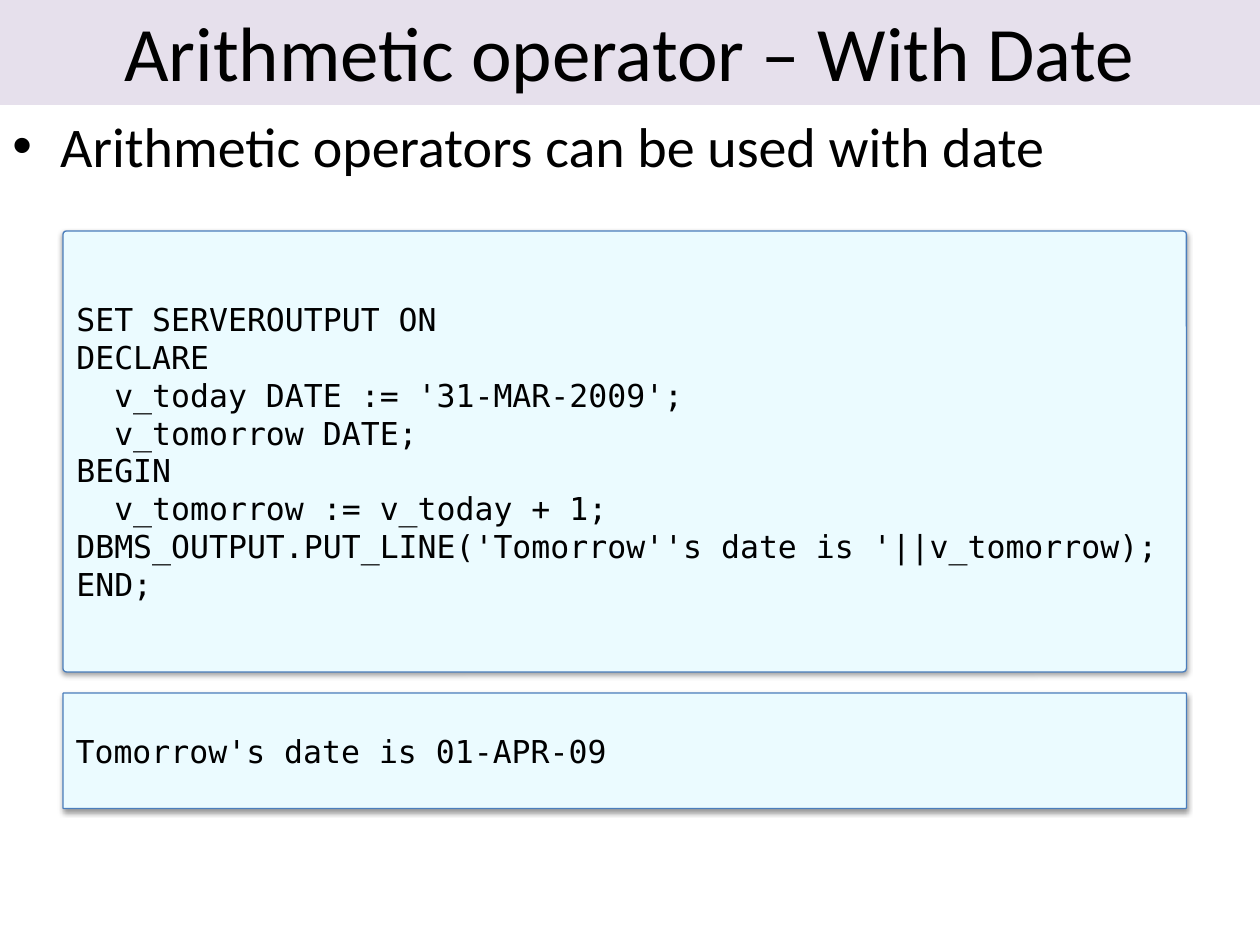
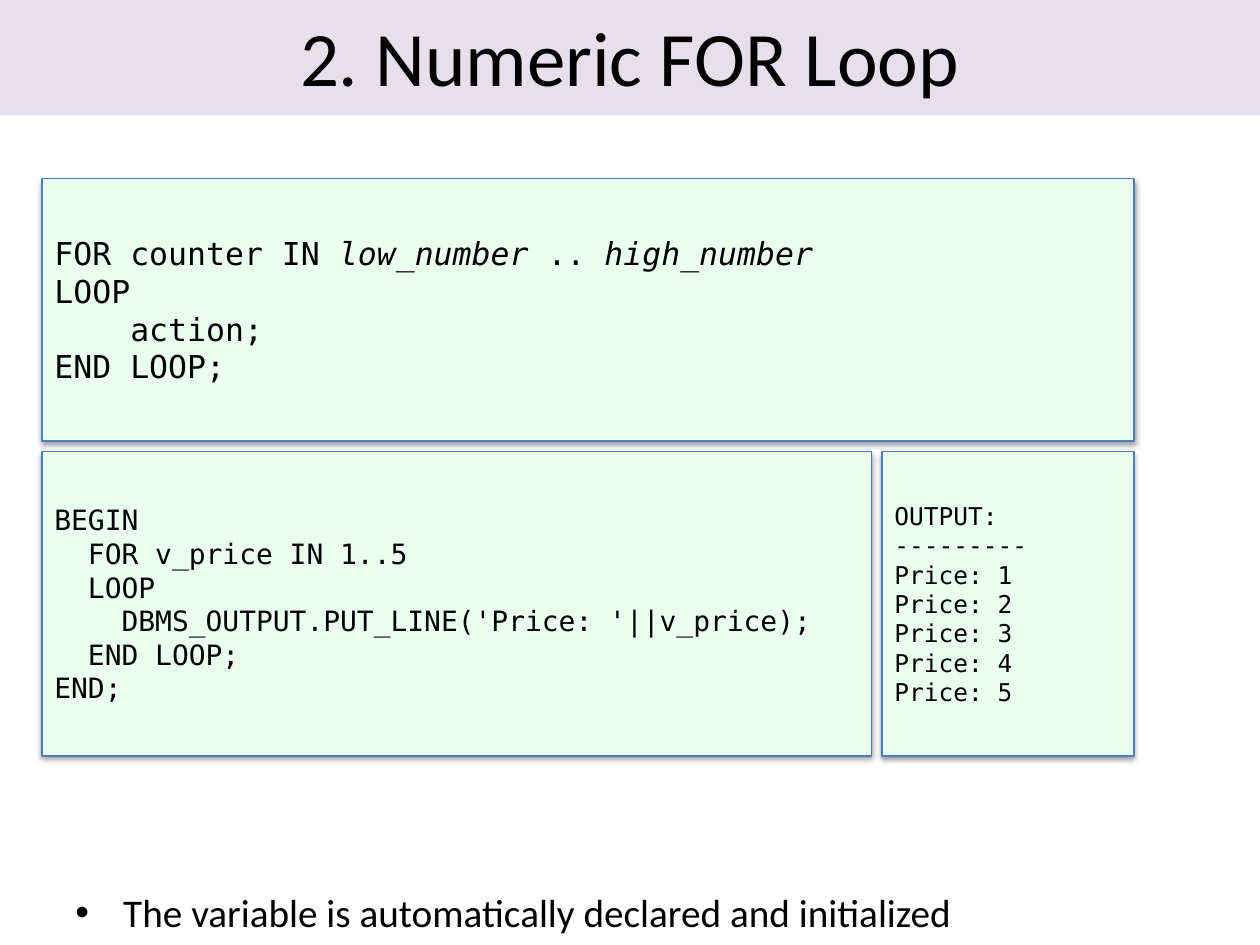
import dataclasses

import lxml.etree
import pptx
import pptx.dml.color
import pptx.enum.shapes
import pptx.enum.text
import pptx.oxml.ns
import pptx.util

SHAPES = pptx.enum.shapes.MSO_SHAPE
ANCHORS = pptx.enum.text.MSO_ANCHOR
ALIGNMENTS = pptx.enum.text.PP_ALIGN
SLIDE_WIDTH = pptx.util.Inches(10)
SLIDE_HEIGHT = pptx.util.Inches(7.5)
COLUMNS, ROWS = 120, 90


@dataclasses.dataclass(frozen=True)
class Theme:
    text_font: str = "Calibri"
    code_font: str = "DejaVu Sans Mono"
    ink: str = "000000"
    band: str = "E6E0EC"
    border: str = "4B7EBC"
    blue_panel: str = "EBFBFF"
    green_panel: str = "EBFFEF"
    title_size: float = 44
    bullet_size: float = 32
    small_bullet_size: float = 22.4
    code_size: float = 18
    example_size: float = 16
    output_size: float = 14
    border_width: float = 0.75
    corner: float = 0.008
    title_overhang: float = 0.4


THEME = Theme()


def grid_box(column, row, columns, rows):
    """Turn grid cells into left, top, width and height."""
    column_width, row_height = SLIDE_WIDTH / COLUMNS, SLIDE_HEIGHT / ROWS
    return (round(column * column_width), round(row * row_height),
            round(columns * column_width), round(rows * row_height))


def rgb(color):
    return pptx.dml.color.RGBColor.from_string(color)


def apply_format(target, values):
    for name, value in values.items():
        setattr(target, name, value)


def add_run(paragraph, text, font, size, italic=False):
    run = paragraph.add_run()
    run.text = text
    apply_format(run.font, {"name": font, "size": pptx.util.Pt(size), "italic": italic})
    run.font.color.rgb = rgb(THEME.ink)


def add_filled_shape(slide, kind, box, fill):
    shape = slide.shapes.add_shape(kind, *box)
    shape.shadow.inherit = False
    shape.fill.solid()
    shape.fill.fore_color.rgb = rgb(fill)
    apply_format(shape.text_frame, {"word_wrap": True, "vertical_anchor": ANCHORS.MIDDLE})
    return shape


def add_soft_shadow(shape):
    effects = shape._element.spPr.find(pptx.oxml.ns.qn("a:effectLst"))
    shadow = lxml.etree.SubElement(
        effects, pptx.oxml.ns.qn("a:outerShdw"),
        blurRad=str(pptx.util.Pt(3.1)), dist=str(pptx.util.Pt(1.6)),
        dir="5400000", rotWithShape="0")
    color = lxml.etree.SubElement(shadow, pptx.oxml.ns.qn("a:srgbClr"), val=THEME.ink)
    lxml.etree.SubElement(color, pptx.oxml.ns.qn("a:alpha"), val="38000")


def add_title_band(slide, text, rows):
    """Add the title band, which starts slightly above the slide's top edge."""
    overhang = THEME.title_overhang
    box = grid_box(0, -overhang, COLUMNS, rows + overhang)
    band = add_filled_shape(slide, SHAPES.RECTANGLE, box, THEME.band)
    band.line.fill.background()
    paragraph = band.text_frame.paragraphs[0]
    paragraph.alignment = ALIGNMENTS.CENTER
    add_run(paragraph, text, THEME.text_font, THEME.title_size)


def add_bullet(slide, text, box, size):
    text_frame = slide.shapes.add_textbox(*box).text_frame
    text_frame.word_wrap = True
    paragraph = text_frame.paragraphs[0]
    properties = paragraph._p.get_or_add_pPr()
    indent = pptx.util.Inches(0.38)
    properties.set("marL", str(indent))
    properties.set("indent", str(-indent))
    lxml.etree.SubElement(properties, pptx.oxml.ns.qn("a:buFont"), typeface="Arial")
    lxml.etree.SubElement(properties, pptx.oxml.ns.qn("a:buChar"), char="•")
    add_run(paragraph, text, THEME.text_font, size)


def add_code_panel(slide, lines, box, fill, size, kind=SHAPES.RECTANGLE):
    """Add a panel of code; text between asterisks is italic."""
    panel = add_filled_shape(slide, kind, box, fill)
    if kind == SHAPES.ROUNDED_RECTANGLE:
        panel.adjustments[0] = THEME.corner
    panel.line.color.rgb = rgb(THEME.border)
    panel.line.width = pptx.util.Pt(THEME.border_width)
    add_soft_shadow(panel)
    text_frame = panel.text_frame
    for number, line in enumerate(lines):
        paragraph = text_frame.add_paragraph() if number else text_frame.paragraphs[0]
        paragraph.alignment = ALIGNMENTS.LEFT
        for position, piece in enumerate(line.split("*")):
            if piece:
                add_run(paragraph, piece, THEME.code_font, size, position % 2 == 1)


def build_date_slide(slide):
    title_rows, left, width = 10, 6, 107
    add_title_band(slide, "Arithmetic operator – With Date", title_rows)
    add_bullet(slide, "Arithmetic operators can be used with date",
               grid_box(0, title_rows, COLUMNS, ROWS - title_rows), THEME.bullet_size)
    program = [
        "SET SERVEROUTPUT ON",
        "DECLARE",
        "  v_today DATE := '31-MAR-2009';",
        "  v_tomorrow DATE;",
        "BEGIN",
        "  v_tomorrow := v_today + 1;",
        "DBMS_OUTPUT.PUT_LINE('Tomorrow''s date is '||v_tomorrow);",
        "END;",
    ]
    result = ["Tomorrow's date is 01-APR-09"]
    for lines, top, height in ((program, 22, 42), (result, 66, 11)):
        add_code_panel(slide, lines, grid_box(left, top, width, height),
                       THEME.blue_panel, THEME.code_size, SHAPES.ROUNDED_RECTANGLE)


def build_loop_slide(slide):
    left, width, gap = 4, 104, 1
    syntax_top, syntax_height = 17, 25
    example_width, lower_height = 79, 29
    lower_top = syntax_top + syntax_height + gap
    output_left = left + example_width + gap
    output_width = width - example_width - gap

    add_title_band(slide, "2. Numeric FOR Loop", 11)
    add_bullet(slide, "The variable is automatically declared and initialized",
               grid_box(6, 84, 108, 6), THEME.small_bullet_size)
    example = [
        "BEGIN",
        "  FOR v_price IN 1..5",
        "  LOOP",
        "    DBMS_OUTPUT.PUT_LINE('Price: '||v_price);",
        "  END LOOP;",
        "END;",
    ]
    syntax = [
        "FOR counter IN *low_number* .. *high_number*",
        "LOOP",
        "    action;",
        "END LOOP;",
    ]
    output = ["OUTPUT:", "---------"] + [f"Price: {price}" for price in range(1, 6)]
    panels = (
        (example, (left, lower_top, example_width, lower_height), THEME.example_size),
        (syntax, (left, syntax_top, width, syntax_height), THEME.code_size),
        (output, (output_left, lower_top, output_width, lower_height), THEME.output_size),
    )
    for lines, cells, size in panels:
        add_code_panel(slide, lines, grid_box(*cells), THEME.green_panel, size)


def main():
    presentation = pptx.Presentation()
    apply_format(presentation, {"slide_width": SLIDE_WIDTH, "slide_height": SLIDE_HEIGHT})
    blank_layout = presentation.slide_layouts[6]
    for build_slide in (build_date_slide, build_loop_slide):
        build_slide(presentation.slides.add_slide(blank_layout))
    presentation.save("out.pptx")


if __name__ == "__main__":
    main()
